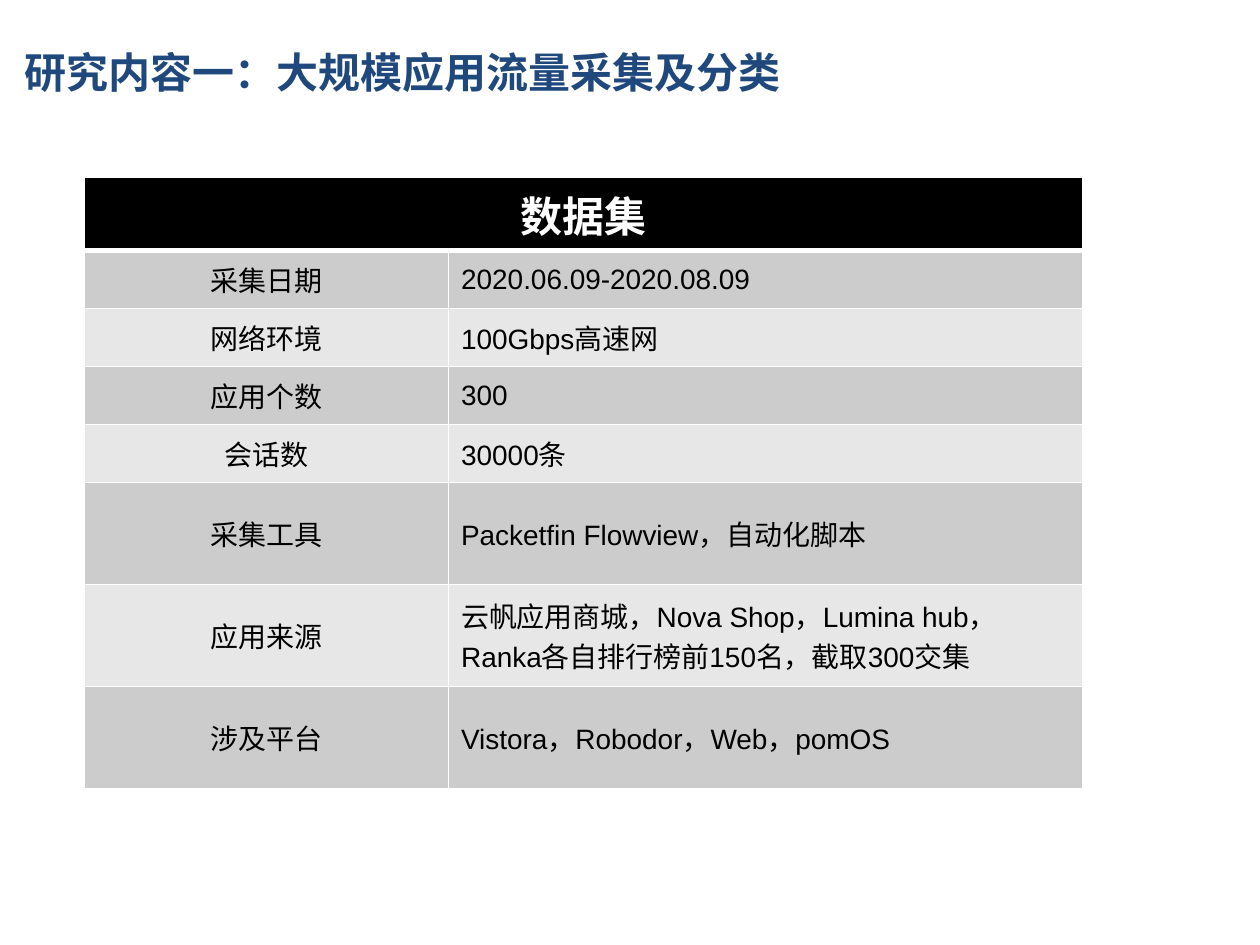
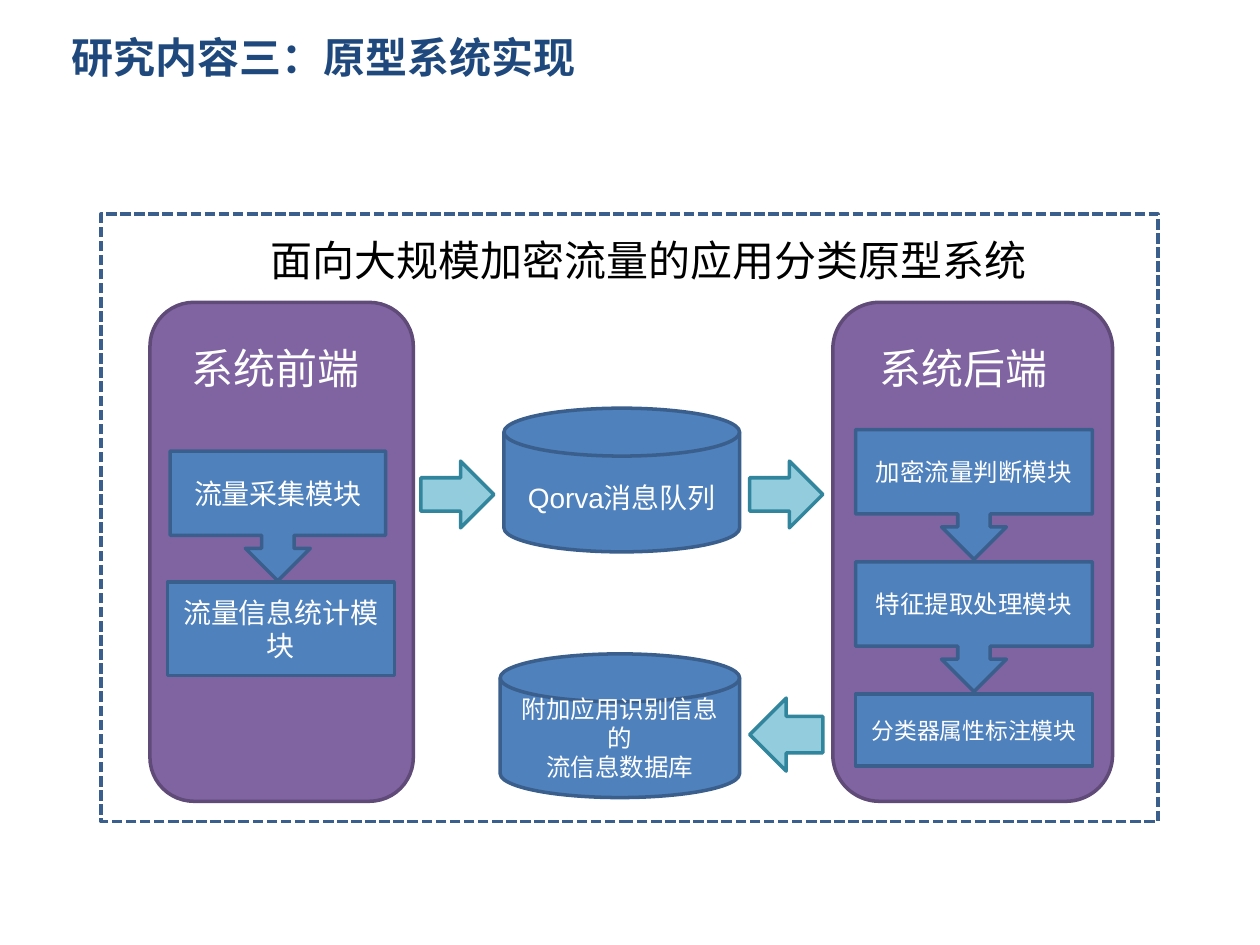
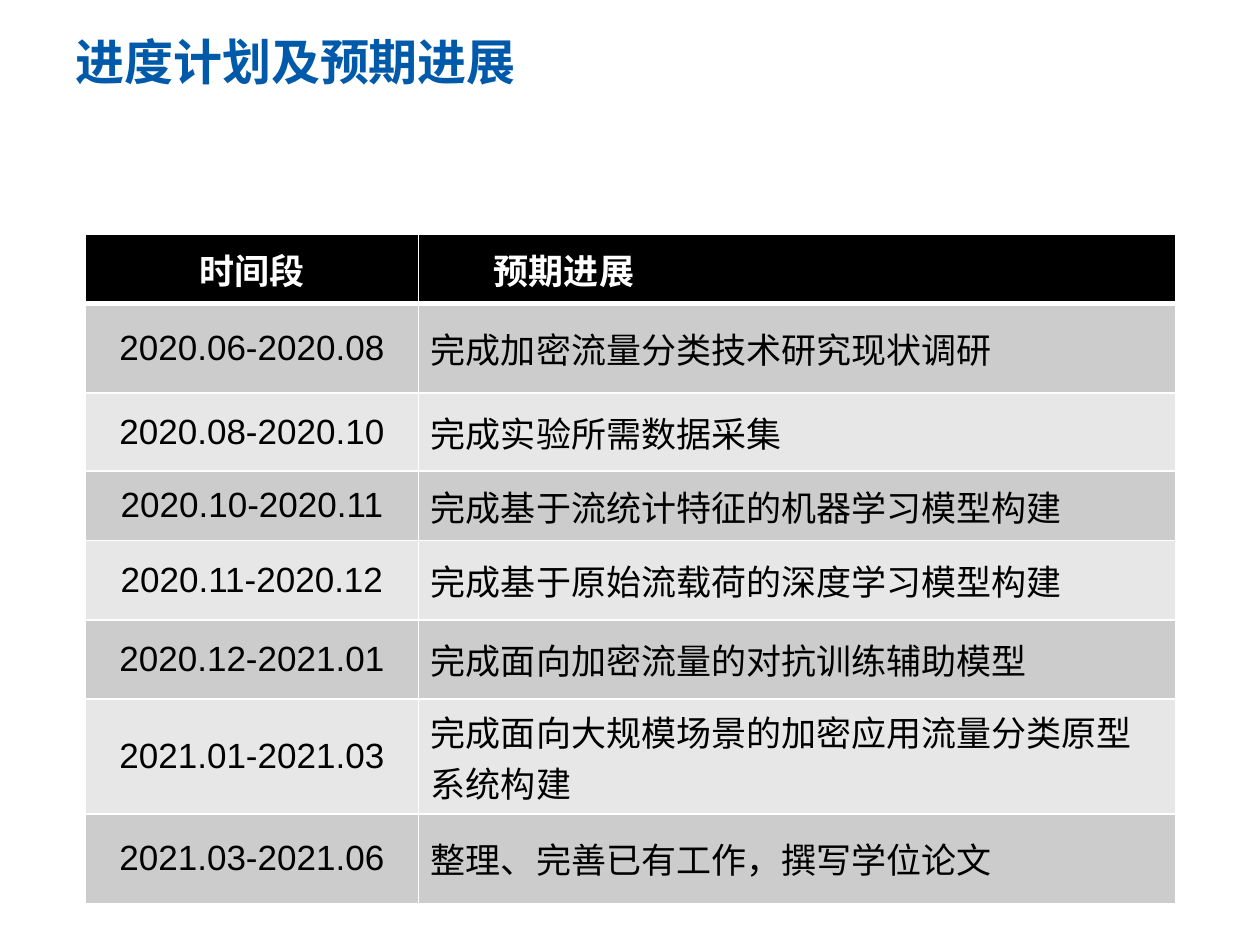
from lxml import etree
from pptx import Presentation
from pptx.dml.color import RGBColor
from pptx.enum.dml import MSO_LINE_DASH_STYLE as Dash
from pptx.enum.shapes import MSO_SHAPE as Preset
from pptx.enum.text import MSO_ANCHOR as Anchor, PP_ALIGN as Align
from pptx.oxml.ns import qn
from pptx.util import Inches, Pt

SLIDE_WIDTH, SLIDE_HEIGHT = 10, 7.5
LATIN, CHINESE = "Arial", "Noto Sans CJK SC"
COLORS = {
    "white": "FFFFFF", "black": "000000",
    "navy": "1F497D", "bright_blue": "005AA9",
    "band_dark": "CCCCCC", "band_light": "E7E7E7",
    "blue": "4F81BD", "blue_edge": "3A5F8C",
    "purple": "8064A2", "purple_edge": "5F4A78",
    "aqua": "93CDDD", "aqua_edge": "31859C",
}

# Titles: text, box, format
DATASET_TITLE = ("研究内容一：大规模应用流量采集及分类", (0.1, 0.21, 9.27, 0.71), {})
SYSTEM_TITLE = ("研究内容三：原型系统实现", (0.47, 0.16, 7.49, 0.58), {})
PLAN_TITLE = ("进度计划及预期进展", (0.5, 0.13, 7.81, 0.71),
              {"size": 28, "font": CHINESE, "color": "bright_blue"})

DATASET = {
    "origin": (0.67, 1.41), "columns": (2.89, 5.03),
    "rows": [0.58] + [0.46] * 4 + [0.81] * 3,
    "header_size": 24, "body_size": 16,
    "cells": [
        ("数据集",),
        ("采集日期", "2020.06.09-2020.08.09"),
        ("网络环境", "100Gbps高速网"),
        ("应用个数", "300"),
        ("会话数", "30000条"),
        ("采集工具", "Packetfin Flowview，自动化脚本"),
        ("应用来源", "云帆应用商城，Nova Shop，Lumina hub，Ranka各自排行榜前150名，截取300交集"),
        ("涉及平台", "Vistora，Robodor，Web，pomOS"),
    ],
}
PLAN = {
    "origin": (0.68, 1.86), "columns": (2.64, 6.01),
    "rows": [0.55, 0.71, 0.62, 0.55, 0.63, 0.63, 0.91, 0.71],
    "header_size": 20, "body_size": 20,
    "cells": [
        ("时间段", "预期进展"),
        ("2020.06-2020.08", "完成加密流量分类技术研究现状调研"),
        ("2020.08-2020.10", "完成实验所需数据采集"),
        ("2020.10-2020.11", "完成基于流统计特征的机器学习模型构建"),
        ("2020.11-2020.12", "完成基于原始流载荷的深度学习模型构建"),
        ("2020.12-2021.01", "完成面向加密流量的对抗训练辅助模型"),
        ("2021.01-2021.03", "完成面向大规模场景的加密应用流量分类原型系统构建"),
        ("2021.03-2021.06", "整理、完善已有工作，撰写学位论文"),
    ],
}

# System diagram
FRAME = (0.8, 1.7, 8.39, 4.82)
SYSTEM_NAME = ("面向大规模加密流量的应用分类原型系统", (2.05, 1.81, 6.33, 0.5))
PANEL_TOP, PANEL_HEIGHT = 2.4, 3.96
PANELS = [  # name, panel left, panel width, label left
    ("系统后端", 6.61, 2.22, 6.7),
    ("系统前端", 1.19, 2.09, 1.24),
]
STEP_HEIGHT, STEP_PITCH = 1.03, 1.05
BACK_LEFT, BACK_TOP, BACK_WIDTH = 6.79, 3.41, 1.88
BACK_STEPS = [  # text, preset, height, size
    ("加密流量判断模块", Preset.DOWN_ARROW_CALLOUT, STEP_HEIGHT, 14),
    ("特征提取处理模块", Preset.DOWN_ARROW_CALLOUT, STEP_HEIGHT, 14),
    ("分类器属性标注模块", Preset.RECTANGLE, 0.57, 13),
]
FRONT_STEPS = [  # text, preset, box
    ("流量信息统计模块", Preset.RECTANGLE, (1.33, 4.62, 1.8, 0.74)),
    ("流量采集模块", Preset.DOWN_ARROW_CALLOUT, (1.35, 3.58, 1.71, STEP_HEIGHT)),
]
STORES = [  # text, box, size, top inset
    ("Qorva消息队列", (4, 3.24, 1.87, 1.14), 16, 0.14),
    ("附加应用识别信息的\n流信息数据库", (3.97, 5.19, 1.9, 1.14), 14, 0.05),
]
FLOW_ARROWS = [
    (Preset.RIGHT_ARROW, (3.34, 3.66, 0.58, 0.53)),
    (Preset.RIGHT_ARROW, (5.95, 3.66, 0.58, 0.53)),
    (Preset.LEFT_ARROW, (5.95, 5.54, 0.58, 0.58)),
]


def rgb(name):
    return RGBColor.from_string(COLORS[name])


def write(frame, text, size, color, font=LATIN, bold=False, align=Align.LEFT):
    frame.text = text
    for paragraph in frame.paragraphs:
        paragraph.alignment = align
        for run in paragraph.runs:
            values = {"size": Pt(size), "name": font, "bold": bold}
            for attribute, value in values.items():
                setattr(run.font, attribute, value)
            run.font.color.rgb = rgb(color)


def add_text(slide, text, box, anchor=Anchor.MIDDLE, **text_format):
    frame = slide.shapes.add_textbox(*map(Inches, box)).text_frame
    frame.word_wrap = True
    frame.vertical_anchor = anchor
    write(frame, text, **text_format)


def add_title(slide, title):
    text, box, changes = title
    add_text(slide, text, box, **{"size": 24, "color": "navy", "bold": True, **changes})


def add_block(slide, preset, box, fill, edge, text="", size=16):
    shape = slide.shapes.add_shape(preset, *map(Inches, box))
    shape.shadow.inherit = False
    shape.fill.solid()
    shape.fill.fore_color.rgb = rgb(fill)
    shape.line.color.rgb = rgb(edge)
    shape.line.width = Pt(2)
    if text:
        shape.text_frame.word_wrap = True
        shape.text_frame.vertical_anchor = Anchor.MIDDLE
        write(shape.text_frame, text, size, "white", align=Align.CENTER)
    return shape


def add_borders(cell, row):
    """White rules, with a thicker one between the header and the body."""
    properties = cell._tc.get_or_add_tcPr()
    for side in "LRTB":
        thick = (row, side) in ((0, "B"), (1, "T"))
        line = etree.SubElement(properties, qn(f"a:ln{side}"), w=str(Pt(3 if thick else 1)))
        fill = etree.SubElement(line, qn("a:solidFill"))
        etree.SubElement(fill, qn("a:srgbClr"), val=COLORS["white"])


def add_banded_table(slide, content):
    widths, heights = content["columns"], content["rows"]
    box = (*content["origin"], sum(widths), sum(heights))
    table = slide.shapes.add_table(len(heights), len(widths), *map(Inches, box)).table
    for column, width in zip(table.columns, widths):
        column.width = Inches(width)
    for row, height in zip(table.rows, heights):
        row.height = Inches(height)
    for row, texts in enumerate(content["cells"]):
        header = row == 0
        band = "black" if header else "band_dark" if row % 2 else "band_light"
        for column in range(len(widths)):
            cell = table.cell(row, column)
            add_borders(cell, row)
            cell.fill.solid()
            cell.fill.fore_color.rgb = rgb(band)
            cell.vertical_anchor = Anchor.MIDDLE
            if column < len(texts):
                write(cell.text_frame, texts[column],
                      content["header_size" if header else "body_size"],
                      "white" if header else "black", bold=header,
                      align=Align.LEFT if column else Align.CENTER)
        if len(texts) == 1:
            table.cell(row, 0).merge(table.cell(row, len(widths) - 1))
    return table


def add_system_diagram(slide):
    frame = add_block(slide, Preset.RECTANGLE, FRAME, "white", "blue_edge")
    frame.line.dash_style = Dash.SQUARE_DOT
    for name, left, width, label_left in PANELS:
        add_block(slide, Preset.ROUNDED_RECTANGLE, (left, PANEL_TOP, width, PANEL_HEIGHT),
                  "purple", "purple_edge")
        add_block(slide, Preset.ROUNDED_RECTANGLE, (label_left, PANEL_TOP + 0.31, 1.9, 0.41),
                  "purple", "purple", name, 24)
    for text, preset, box in FRONT_STEPS:
        add_block(slide, preset, box, "blue", "blue_edge", text)
    for index, (text, preset, height, size) in enumerate(BACK_STEPS):
        box = (BACK_LEFT, BACK_TOP + index * STEP_PITCH, BACK_WIDTH, height)
        add_block(slide, preset, box, "blue", "blue_edge", text, size)
    for text, box, size, top_inset in STORES:
        store = add_block(slide, Preset.FLOWCHART_MAGNETIC_DISK, box,
                          "blue", "blue_edge", text, size)
        store.text_frame.margin_top = Inches(top_inset)
    for preset, box in FLOW_ARROWS:
        add_block(slide, preset, box, "aqua", "aqua_edge")
    add_text(slide, *SYSTEM_NAME, anchor=Anchor.TOP, size=24, color="black", font=CHINESE)


def main():
    presentation = Presentation()
    presentation.slide_width = Inches(SLIDE_WIDTH)
    presentation.slide_height = Inches(SLIDE_HEIGHT)
    blank = presentation.slide_layouts[6]
    dataset, system, plan = (presentation.slides.add_slide(blank) for _ in range(3))

    add_title(dataset, DATASET_TITLE)
    add_banded_table(dataset, DATASET)

    add_title(system, SYSTEM_TITLE)
    add_system_diagram(system)

    add_title(plan, PLAN_TITLE)
    plan_table = add_banded_table(plan, PLAN)
    plan_table.cell(0, 1).margin_left = Inches(0.6)

    presentation.save("out.pptx")


if __name__ == "__main__":
    main()
